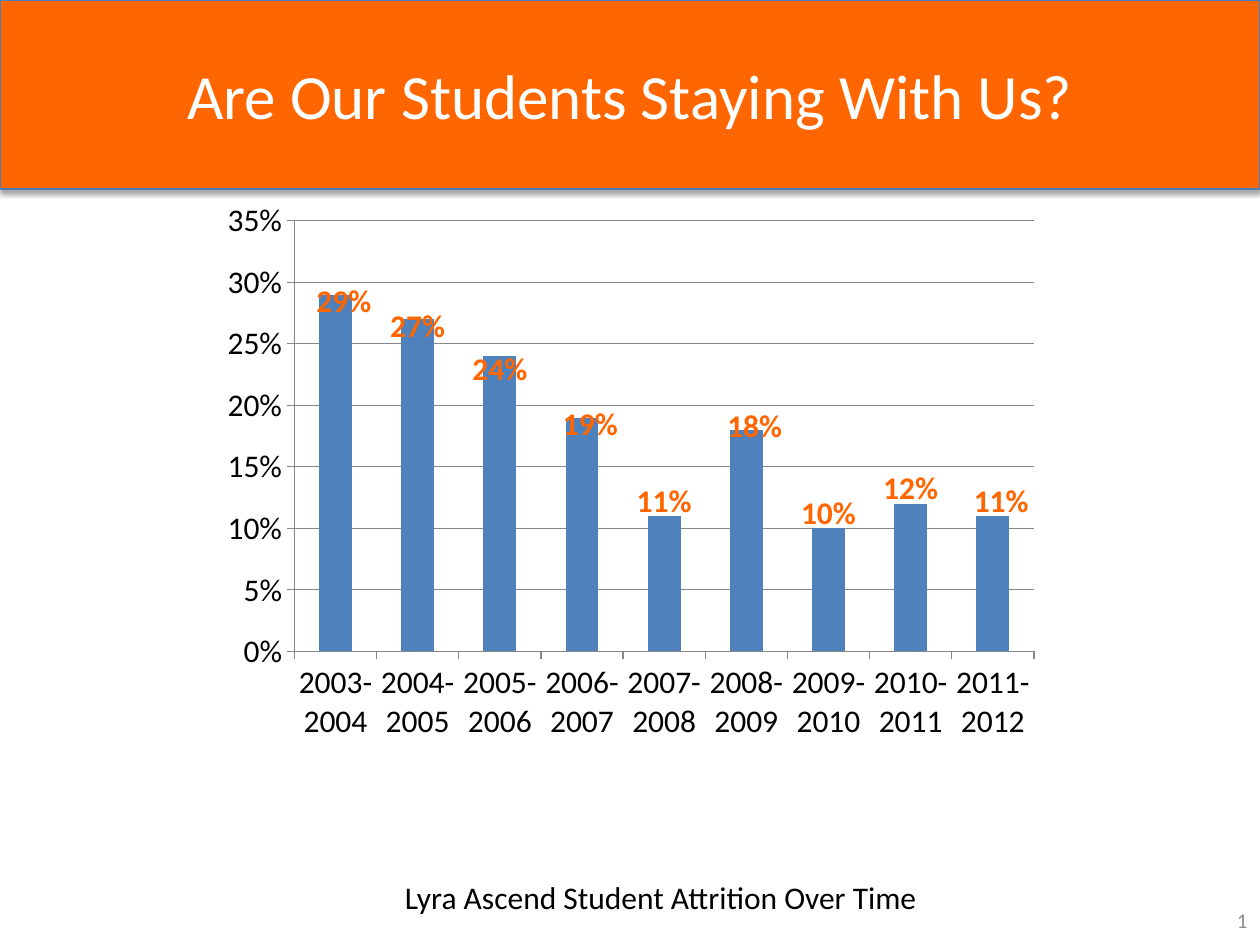
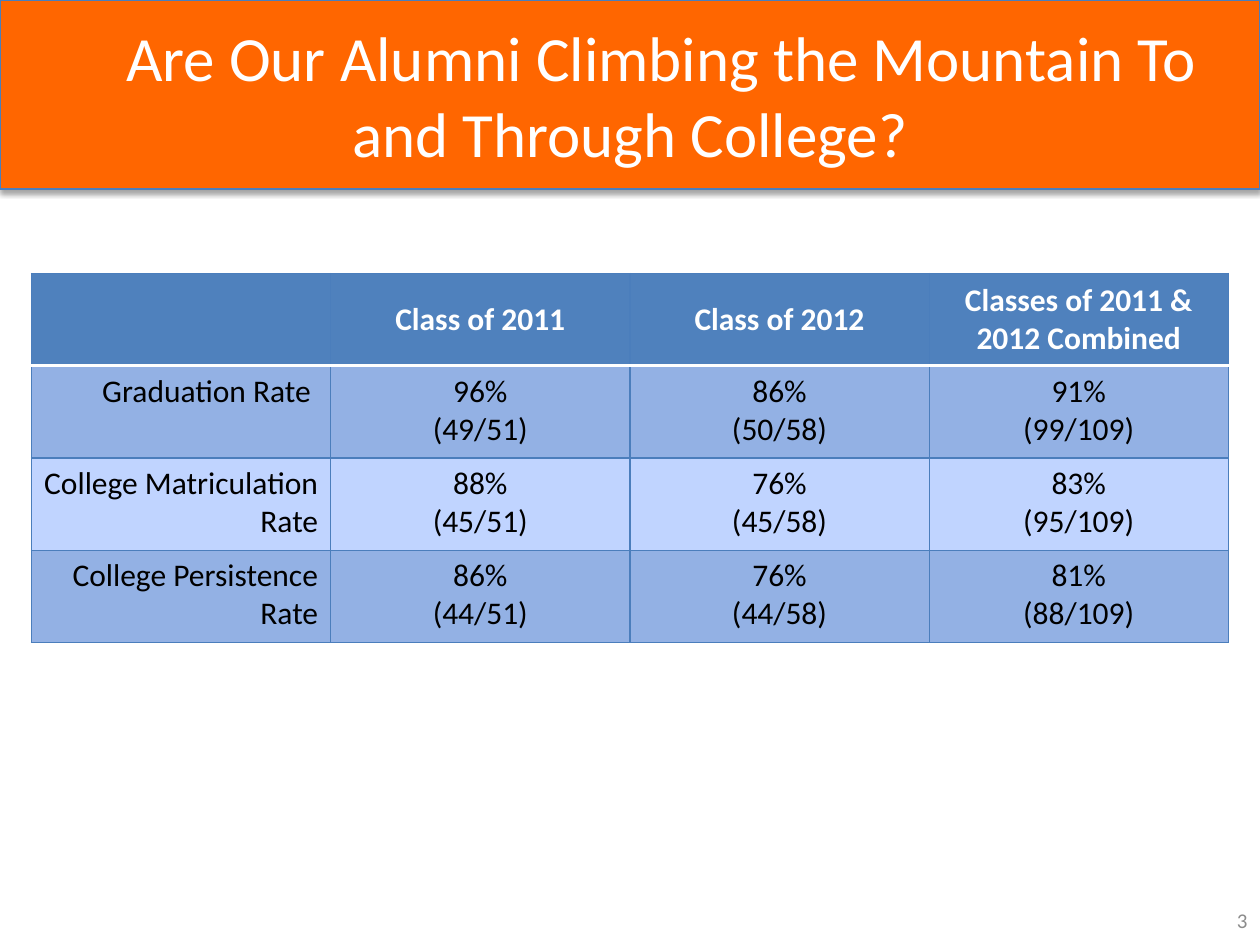
from lxml.etree import SubElement
from pptx import Presentation
from pptx.chart.data import CategoryChartData
from pptx.dml.color import RGBColor
from pptx.enum.chart import XL_CHART_TYPE as ChartKind, XL_LABEL_POSITION as LabelPlace
from pptx.enum.chart import XL_TICK_MARK as Tick
from pptx.enum.text import MSO_ANCHOR as Anchor, PP_ALIGN as Align
from pptx.oxml import parse_xml
from pptx.oxml.ns import nsdecls, qn
from pptx.util import Inches, Pt

FONT = "Calibri"
ORANGE, BLUE, EDGE = "FF6600", "4F81BD", "4B7EBC"
BAND_DARK, BAND_LIGHT = "93B1E4", "C0D4FF"
WHITE, BLACK, GREY, GRID = "FFFFFF", "000000", "8C8C8C", "878787"
COLUMNS, ROWS = 10, 7.5


def color(hex_code):
    return RGBColor.from_string(hex_code)


def style_font(font, size, hex_code, bold=False):
    font.name, font.size, font.bold = FONT, Pt(size), bold
    font.color.rgb = color(hex_code)


def manual_layout(inner=False, **shares):
    layout = parse_xml(f"<c:layout {nsdecls('c')}><c:manualLayout/></c:layout>")
    fields = {"layoutTarget": "inner", "xMode": "edge", "yMode": "edge"} if inner else {}
    for tag, value in {**fields, **shares}.items():
        SubElement(layout[0], qn(f"c:{tag}")).set("val", str(value))
    return layout


class Deck:
    def __init__(self):
        self.file = Presentation()
        self.file.slide_width, self.file.slide_height = Inches(10), Inches(7.5)
        self.slide = None

    def box(self, left, top, width, height):
        column = self.file.slide_width / COLUMNS
        row = self.file.slide_height / ROWS
        return int(left * column), int(top * row), int(width * column), int(height * row)

    def set_text(self, frame, text, size, hex_code, align=Align.CENTER, anchor=Anchor.MIDDLE,
                 bold=False):
        frame.text = text
        frame.word_wrap = True
        frame.vertical_anchor = anchor
        for paragraph in frame.paragraphs:
            paragraph.alignment = align
            for run in paragraph.runs:
                style_font(run.font, size, hex_code, bold)

    def add_slide(self, heading, number):
        self.slide = self.file.slides.add_slide(self.file.slide_layouts[5])
        band = self.slide.shapes.title
        band.left, band.top, band.width, band.height = self.box(0, 0, COLUMNS, 1.5)
        band.fill.solid()
        band.fill.fore_color.rgb = color(ORANGE)
        band.line.color.rgb = color(EDGE)
        band.line.width = Pt(0.75)
        band.element.spPr.append(parse_xml(
            f'<a:effectLst {nsdecls("a")}><a:outerShdw blurRad="{Pt(3.1)}" dist="{Pt(1.8)}" '
            'dir="5400000" rotWithShape="0"><a:srgbClr val="000000"><a:alpha val="35000"/>'
            '</a:srgbClr></a:outerShdw></a:effectLst>'))
        self.set_text(band.text_frame, heading, 36, WHITE)
        self.add_text(number, (7.67, 7.1, 2.33, 0.4), 12, GREY, Align.RIGHT)

    def add_text(self, text, place, size, hex_code, align=Align.CENTER, anchor=Anchor.MIDDLE):
        note = self.slide.shapes.add_textbox(*self.box(*place))
        self.set_text(note.text_frame, text, size, hex_code, align, anchor)

    def add_columns(self, rates, shifts, place):
        data = CategoryChartData(number_format="0%")
        data.categories = list(rates)
        data.add_series("Series 1", list(rates.values()))
        chart = self.slide.shapes.add_chart(
            ChartKind.COLUMN_STACKED, *self.box(*place), data).chart
        chart.has_legend = chart.has_title = False
        style_font(chart.font, 18, BLACK)
        plot_area = chart.element.chart.plotArea
        for spare in plot_area.findall(qn("c:layout")):
            plot_area.remove(spare)
        plot_area.insert(0, manual_layout(True, x=0.1, y=0.05, w=0.88, h=0.77))

        for axis in (chart.category_axis, chart.value_axis):
            axis.major_tick_mark, axis.minor_tick_mark = Tick.OUTSIDE, Tick.NONE
            axis.format.line.color.rgb = color(GRID)
        rate_axis = chart.value_axis
        rate_axis.minimum_scale, rate_axis.maximum_scale, rate_axis.major_unit = 0, 0.35, 0.05
        rate_axis.tick_labels.number_format = "0%"
        rate_axis.tick_labels.number_format_is_linked = False
        rate_axis.major_gridlines.format.line.color.rgb = color(GRID)

        plot = chart.plots[0]
        plot.gap_width, plot.overlap, plot.vary_by_categories = 150, 100, False
        bars = plot.series[0]
        bars.format.fill.solid()
        bars.format.fill.fore_color.rgb = color(BLUE)
        labels = bars.data_labels
        labels.show_value = True
        labels.number_format, labels.number_format_is_linked = "0%", False
        labels.position = LabelPlace.INSIDE_END
        style_font(labels.font, 18, ORANGE, True)
        for index in range(len(shifts)):
            label = bars.points[index].data_label
            label.position = LabelPlace.INSIDE_END
            style_font(label.font, 18, ORANGE, True)
        for label, (across, down) in zip(chart.element.iter(qn("c:dLbl")), shifts):
            label.insert(1, manual_layout(x=across, y=down))

    def add_table(self, rows, place):
        table = self.slide.shapes.add_table(len(rows), len(rows[0]), *self.box(*place)).table
        for r, row in enumerate(rows):
            fill = BLUE if r == 0 else (BAND_LIGHT, BAND_DARK)[r % 2]
            for c, text in enumerate(row):
                cell = table.cell(r, c)
                cell.fill.solid()
                cell.fill.fore_color.rgb = color(fill)
                align = Align.RIGHT if r and c == 0 else Align.CENTER
                self.set_text(cell.text_frame, text, 18, BLACK if r else WHITE, align, bold=r == 0)
                cell.vertical_anchor = Anchor.TOP if r else Anchor.MIDDLE
                self.add_borders(cell, {0: "B", 1: "T"}.get(r))

    def add_borders(self, cell, white_side):
        for position, side in enumerate("LRTB"):
            hex_code, width = (WHITE, 2) if side == white_side else (EDGE, 0.75)
            cell._tc.get_or_add_tcPr().insert(position, parse_xml(
                f'<a:ln{side} {nsdecls("a")} w="{Pt(width)}"><a:solidFill>'
                f'<a:srgbClr val="{hex_code}"/></a:solidFill></a:ln{side}>'))


def main():
    deck = Deck()

    deck.add_slide("Are Our Students Staying With Us?", "1")
    deck.add_text("Lyra Ascend Student Attrition Over Time", (1.83, 6.92, 6.83, 0.4),
                  18, BLACK, anchor=Anchor.TOP)
    attrition = [0.29, 0.27, 0.24, 0.19, 0.11, 0.18, 0.1, 0.12, 0.11]
    rates = {f"{year}-{year + 1}": rate for year, rate in enumerate(attrition, 2003)}
    label_shifts = [(0.01, -0.03), (0, -0.03), (0, -0.02), (0.01, -0.03), (0, -0.07),
                    (0.01, -0.05), (0, -0.07), (0, -0.07), (0.01, -0.07)]
    deck.add_columns(rates, label_shifts, (1.67, 1.53, 6.67, 4.44))

    deck.add_slide("\tAre Our Alumni Climbing the Mountain To and Through College?", "3")
    deck.add_table([
        ["", "Class of 2011", "Class of 2012", "Classes of 2011 & 2012 Combined"],
        ["Graduation Rate ", "96%\n(49/51)", "86%\n(50/58)", "91%\n(99/109)"],
        ["College Matriculation Rate", "88%\n(45/51)", "76%\n(45/58)", "83%\n(95/109)"],
        ["College Persistence Rate", "86%\n(44/51)", "76%\n(44/58)", "81%\n(88/109)"],
    ], (0.25, 2.17, 9.5, 2.93))

    deck.file.save("out.pptx")


if __name__ == "__main__":
    main()
